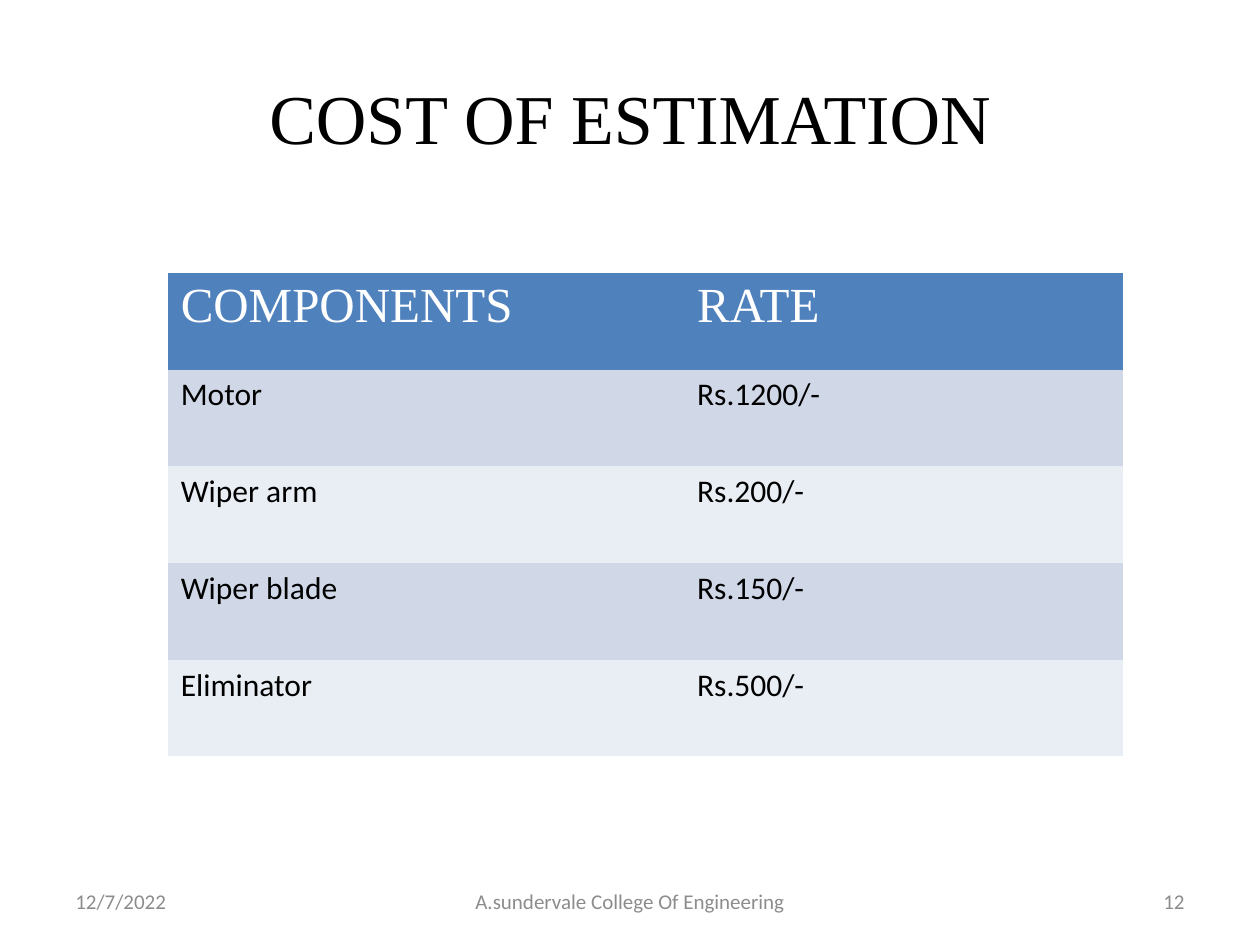
from pptx import Presentation
from pptx.dml.color import RGBColor
from pptx.enum.text import MSO_ANCHOR, PP_ALIGN
from pptx.oxml.ns import qn
from pptx.util import Cm, Pt

LEFT, MID, RIGHT = PP_ALIGN.LEFT, PP_ALIGN.CENTER, PP_ALIGN.RIGHT
CENTRE = MSO_ANCHOR.MIDDLE

BLACK = RGBColor(0x00, 0x00, 0x00)
WHITE = RGBColor(0xFF, 0xFF, 0xFF)
GREY = RGBColor(0x8C, 0x8C, 0x8C)
BLUE = RGBColor(0x4F, 0x81, 0xBD)
BANDS = RGBColor(0xE9, 0xED, 0xF4), RGBColor(0xD0, 0xD8, 0xE8)

SERIF, SANS = "Times New Roman", "Calibri"
PLAIN = "{2D5ABB26-0587-4C30-8999-92F81FD0307C}"  # table style without grid

# Content
TITLE = "COST OF ESTIMATION"
RATES = [
    ("COMPONENTS", "RATE"),
    ("Motor", "Rs.1200/-"),
    ("Wiper arm", "Rs.200/-"),
    ("Wiper blade", "Rs.150/-"),
    ("Eliminator", "Rs.500/-"),
]
FOOTER = [  # text, left, width, alignment
    ("12/7/2022", 1.27, 5.93, LEFT),
    ("A.sundervale College Of Engineering", 8.68, 8.04, MID),
    ("12", 18.2, 5.93, RIGHT),
]
WIDTHS = 10.41, 8.84
ROW = 1.95


def write(frame, text, font, size, color, align=LEFT):
    para = frame.paragraphs[0]
    para.alignment = align
    run = para.add_run()
    run.text = text
    run.font.name = font
    run.font.size = Pt(size)
    run.font.color.rgb = color


deck = Presentation()
deck.slide_width, deck.slide_height = Cm(25.4), Cm(19.05)
slide = deck.slides.add_slide(deck.slide_layouts[5])

# Title
title = slide.shapes.title
title.left, title.top = Cm(1.27), Cm(0.76)
title.width, title.height = Cm(22.86), Cm(3.18)
title.text_frame.vertical_anchor = CENTRE
write(title.text_frame, TITLE, SERIF, 40, BLACK, MID)

# Rate table
table = slide.shapes.add_table(
    len(RATES), len(WIDTHS), Cm(3.39), Cm(5.5),
    Cm(sum(WIDTHS)), Cm(ROW * len(RATES))).table
table._tbl.tblPr.find(qn("a:tableStyleId")).text = PLAIN
for col, width in zip(table.columns, WIDTHS):
    col.width = Cm(width)
for r, line in enumerate(RATES):
    table.rows[r].height = Cm(ROW)
    look = (SANS, 18, BLACK) if r else (SERIF, 28, WHITE)
    for c, text in enumerate(line):
        cell = table.cell(r, c)
        cell.fill.solid()
        cell.fill.fore_color.rgb = BANDS[r % 2] if r else BLUE
        write(cell.text_frame, text, *look)

# Footer
for text, left, width, align in FOOTER:
    box = slide.shapes.add_textbox(Cm(left), Cm(17.65), Cm(width), Cm(1.02))
    box.text_frame.word_wrap = True
    box.text_frame.vertical_anchor = CENTRE
    write(box.text_frame, text, SANS, 12, GREY, align)

deck.save("out.pptx")
